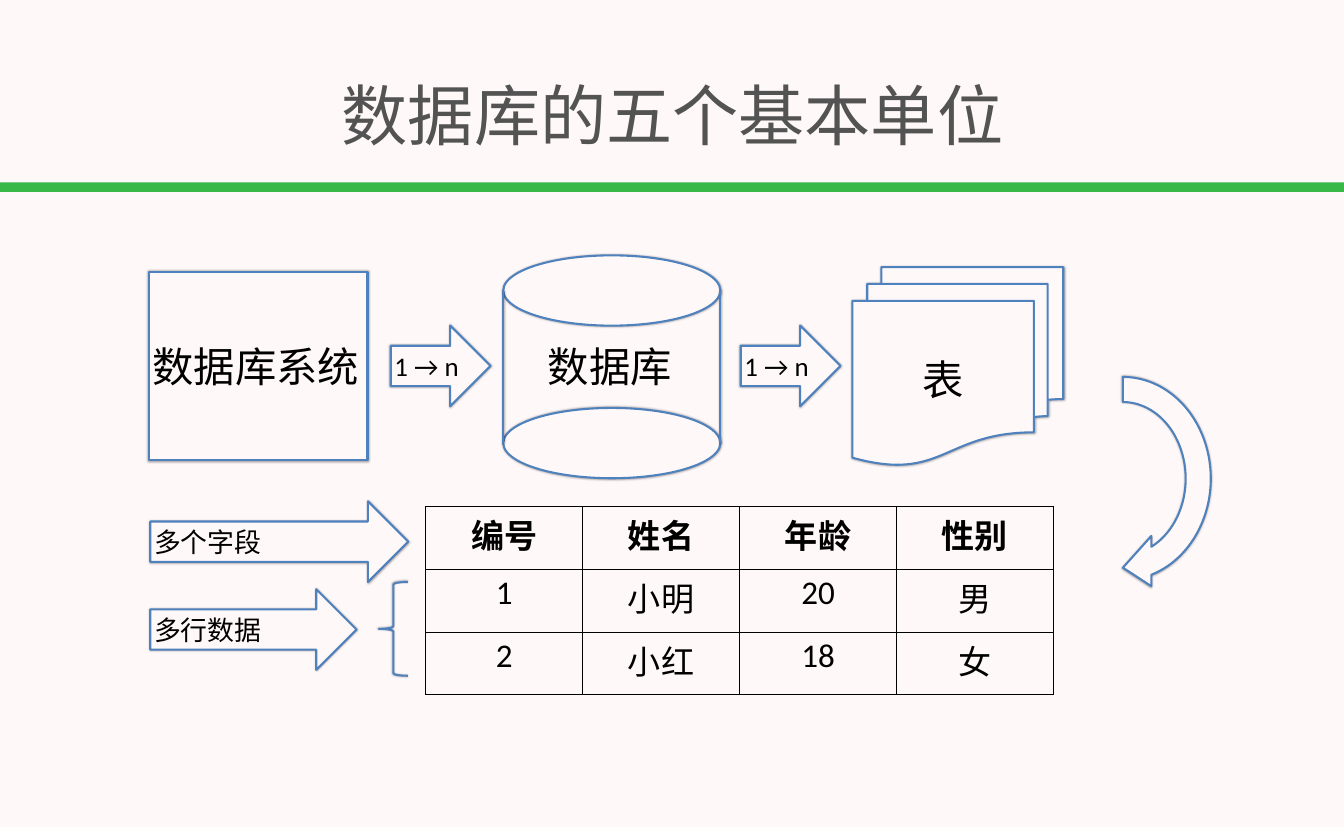
from dataclasses import dataclass

from lxml import etree
from pptx import Presentation
from pptx import util as u
from pptx.dml.color import RGBColor
from pptx.enum import shapes, text
from pptx.oxml import ns

Pt = u.Pt
KIND = shapes.MSO_SHAPE


@dataclass(frozen=True)
class Theme:
    font: str = "Calibri"
    background: RGBColor = RGBColor(0xFF, 0xF8, 0xF8)
    bar: RGBColor = RGBColor(0x39, 0xB7, 0x47)
    title: RGBColor = RGBColor(0x53, 0x53, 0x53)
    outline: RGBColor = RGBColor(0x4F, 0x81, 0xBD)
    ink: RGBColor = RGBColor(0, 0, 0)
    title_size: int = 64
    label_size: int = 40
    table_size: int = 32
    arrow_size: int = 26
    outline_width: int = 2
    inset: float = 3.6


THEME = Theme()


def add_child(parent, tag, **attributes):
    return etree.SubElement(parent, ns.qn(tag), attributes)


def write(frame, content, size, color=THEME.ink, align=text.PP_ALIGN.LEFT,
          anchor=text.MSO_ANCHOR.MIDDLE):
    frame.word_wrap = True
    frame.auto_size = text.MSO_AUTO_SIZE.NONE
    frame.vertical_anchor = anchor
    frame.margin_left = frame.margin_right = Pt(THEME.inset)
    frame.margin_top = frame.margin_bottom = Pt(THEME.inset)
    frame.text = content
    style_paragraph(frame.paragraphs[0], size, color, align)


def style_paragraph(paragraph, size, color, align, bold=False):
    paragraph.alignment = align
    font = paragraph.font
    font.name, font.size, font.bold = THEME.font, Pt(size), bold
    font.color.rgb = color


def outline(shape):
    """Blue outline with a soft shadow, for shapes and connectors."""
    shape.line.color.rgb = THEME.outline
    shape.line.width = Pt(THEME.outline_width)
    effects = add_child(shape._element.spPr, "a:effectLst")
    shadow = add_child(effects, "a:outerShdw", blurRad=str(Pt(2)), dist="0",
                       dir="5400000", rotWithShape="0")
    color = add_child(shadow, "a:srgbClr", val=str(THEME.ink))
    add_child(color, "a:alpha", val="35000")


def add_figure(slide, kind, left, top, width, height, content="",
               size=THEME.label_size, align=text.PP_ALIGN.LEFT, filled=True):
    shape = slide.shapes.add_shape(kind, Pt(left), Pt(top), Pt(width), Pt(height))
    if filled:
        shape.fill.solid()
        shape.fill.fore_color.rgb = THEME.background
    else:
        shape.fill.background()
    outline(shape)
    if content:
        write(shape.text_frame, content, size, align=align)
    return shape


def add_arrow(slide, left, top, width, content):
    add_figure(slide, KIND.RIGHT_ARROW, left, top, width, 78, content, THEME.arrow_size)


def add_title(slide, content, slide_width):
    title = slide.shapes.title
    title.left, title.top, title.width, title.height = Pt(3.5), Pt(59), Pt(1294), Pt(102)
    write(title.text_frame, content, THEME.title_size, THEME.title, text.PP_ALIGN.CENTER)
    bar = slide.shapes.add_shape(KIND.RECTANGLE, 0, Pt(176.4), slide_width, Pt(9.2))
    bar.shadow.inherit = False
    bar.fill.solid()
    bar.fill.fore_color.rgb = THEME.bar
    bar.line.fill.background()


def add_cylinder(slide, left, top, width, content):
    cap, drop = 68, 147.6
    for offset in (0, drop):
        add_figure(slide, KIND.OVAL, left, top + offset, width, cap)
    side_top = top + cap / 2
    for x in (left, left + width):
        side = slide.shapes.add_connector(shapes.MSO_CONNECTOR.STRAIGHT, Pt(x),
                                          Pt(side_top), Pt(x), Pt(side_top + drop))
        outline(side)
    label = slide.shapes.add_textbox(Pt(526.3), Pt(326.3), Pt(142), Pt(56))
    write(label.text_frame, content, THEME.label_size, anchor=text.MSO_ANCHOR.TOP)


def add_cell_borders(cell):
    properties = cell._tc.get_or_add_tcPr()
    for edge in ("a:lnL", "a:lnR", "a:lnT", "a:lnB"):
        line = add_child(properties, edge, w=str(Pt(1)))
        fill = add_child(line, "a:solidFill")
        add_child(fill, "a:srgbClr", val=str(THEME.ink))


def add_records(slide, rows, left, top, column_width, row_height):
    row_count, column_count = len(rows), len(rows[0])
    table = slide.shapes.add_table(
        row_count, column_count, Pt(left), Pt(top),
        Pt(column_width * column_count), Pt(row_height * row_count)).table
    table.first_row = table.horz_banding = False
    for column in table.columns:
        column.width = Pt(column_width)
    for row_index, values in enumerate(rows):
        table.rows[row_index].height = Pt(row_height)
        for column_index, value in enumerate(values):
            cell = table.cell(row_index, column_index)
            cell.text = value
            style_paragraph(cell.text_frame.paragraphs[0], THEME.table_size,
                            THEME.ink, text.PP_ALIGN.CENTER, bold=row_index == 0)
            add_cell_borders(cell)
            cell.fill.background()


def main():
    presentation = Presentation()
    presentation.slide_width, presentation.slide_height = Pt(1300), Pt(800)
    slide = presentation.slides.add_slide(presentation.slide_layouts[5])
    slide.background.fill.solid()
    slide.background.fill.fore_color.rgb = THEME.background
    add_title(slide, "数据库的五个基本单位", presentation.slide_width)

    # System, database and tables
    add_figure(slide, KIND.RECTANGLE, 144, 262.8, 211.5, 182.2, "数据库系统")
    add_cylinder(slide, 486.8, 247, 210, "数据库")
    for left in (378, 716.5):
        add_arrow(slide, left, 315, 96.5, "1 → n")
    add_figure(slide, KIND.FLOWCHART_MULTIDOCUMENT, 824.4, 258.5, 204, 191.5,
               "表", align=text.PP_ALIGN.CENTER)

    # Records of one table
    rows = [("编号", "姓名", "年龄", "性别"),
            ("1", "小明", "20", "男"),
            ("2", "小红", "18", "女")]
    add_records(slide, rows, 411.8, 490, 151.8, 60.7)
    turn = add_figure(slide, KIND.CIRCULAR_ARROW, 975.6, 365.8, 221, 194.4)
    turn.rotation = 90

    # Fields and rows pointers
    add_arrow(slide, 145.4, 485, 249.5, "多个字段")
    add_arrow(slide, 145.4, 570, 199.5, "多行数据")
    add_figure(slide, KIND.LEFT_BRACE, 366.5, 563, 28, 90.7, filled=False)

    presentation.save("out.pptx")


if __name__ == "__main__":
    main()
